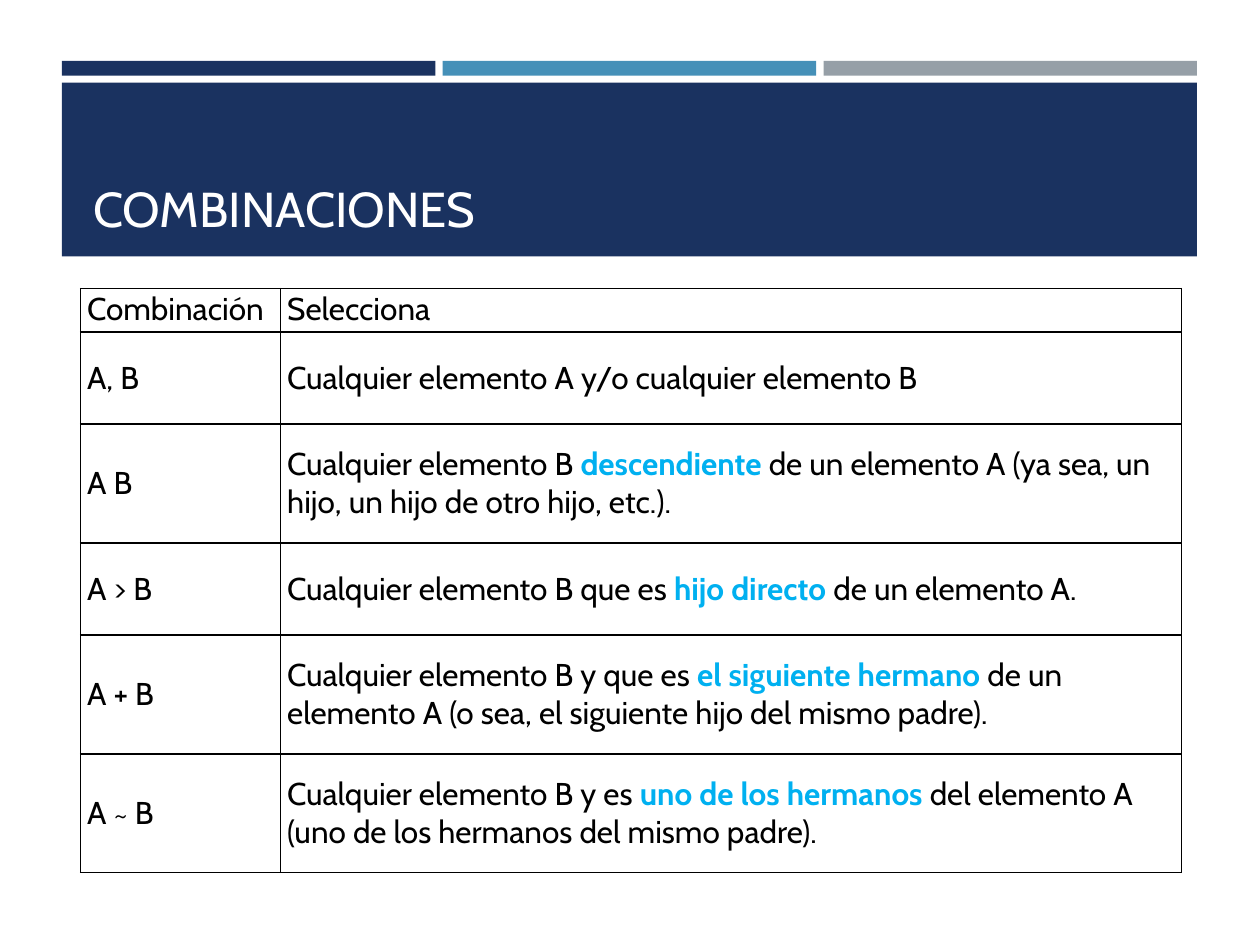
"""Build a slide with a table of CSS selector combinations."""
import lxml.etree
import pptx
import pptx.dml.color
import pptx.enum.shapes
import pptx.enum.text
import pptx.oxml.ns
import pptx.util

Pt = pptx.util.Pt
HUES = {"navy": "1A3260", "blue": "4590B8", "grey": "969FA7",
        "cyan": "00B0F0", "black": "000000", "white": "FFFFFF"}
ROWS = [
    (24.5, "Combinación", ["Selecciona"]),
    (52.6, "A, B", ["Cualquier elemento A y/o cualquier elemento B"]),
    (68, "A B", ["Cualquier elemento B ", "descendiente",
                 " de un elemento A (ya sea, un hijo, un hijo de otro hijo, etc.)."]),
    (52.6, "A > B", ["Cualquier elemento B que es ", "hijo directo ",
                     "de un elemento A."]),
    (68, "A + B", ["Cualquier elemento B y que es ", "el siguiente hermano ",
                   "de un elemento A (o sea, el siguiente hijo del mismo padre)."]),
    (68, "A ~ B", ["Cualquier elemento B y es ", "uno de los hermanos ",
                   "del elemento A (uno de los hermanos del mismo padre)."]),
]


def paint(hue):
    return pptx.dml.color.RGBColor.from_string(HUES[hue])


def write(line, text, font="Cabin", size=18, hue="black", bold=False):
    run = line.add_run()
    run.text = text
    run.font.name = font
    run.font.size = Pt(size)
    run.font.bold = bold
    run.font.color.rgb = paint(hue)


class Deck:
    def __init__(self, show):
        self.slide = show.slides.add_slide(show.slide_layouts[5])
        self.shapes = self.slide.shapes

    def bar(self, left, top, width, height, hue):
        kind = pptx.enum.shapes.MSO_SHAPE.RECTANGLE
        bar = self.shapes.add_shape(kind, Pt(left), Pt(top), Pt(width), Pt(height))
        bar.shadow.inherit = False
        bar.fill.solid()
        bar.fill.fore_color.rgb = paint(hue)
        bar.line.fill.background()

    def title(self, text, left, top, width, height):
        title = self.shapes.title
        title.left, title.top = Pt(left), Pt(top)
        title.width, title.height = Pt(width), Pt(height)
        frame = title.text_frame
        frame.vertical_anchor = pptx.enum.text.MSO_ANCHOR.BOTTOM
        line = frame.paragraphs[0]
        line.alignment = pptx.enum.text.PP_ALIGN.LEFT
        write(line, text, size=28, hue="white")
        self.shapes._spTree.append(title._element)

    def border(self, cell, width=1):
        props = cell._tc.get_or_add_tcPr()
        name = pptx.oxml.ns.qn
        for side in ("a:lnL", "a:lnR", "a:lnT", "a:lnB"):
            edge = lxml.etree.SubElement(props, name(side), w=str(Pt(width)))
            fill = lxml.etree.SubElement(edge, name("a:solidFill"))
            lxml.etree.SubElement(fill, name("a:srgbClr"), val=HUES["black"])

    def cell(self, cell, parts, top, base):
        self.border(cell)
        cell.fill.background()
        cell.vertical_anchor = pptx.enum.text.MSO_ANCHOR.MIDDLE
        cell.margin_left = cell.margin_right = Pt(3.75)
        cell.margin_top, cell.margin_bottom = Pt(top), Pt(base)
        for place, part in enumerate(parts):
            key = place == 1
            write(cell.text_frame.paragraphs[0], part,
                  hue="cyan" if key else "black", bold=key)

    def table(self, rows, left, top, widths):
        height = sum(row[0] for row in rows)
        grid = self.shapes.add_table(len(rows), len(widths), Pt(left), Pt(top),
                                     Pt(sum(widths)), Pt(height)).table
        grid.first_row = grid.horz_banding = False
        for col, width in zip(grid.columns, widths):
            col.width = Pt(width)
        for place, (height, term, parts) in enumerate(rows):
            grid.rows[place].height = Pt(height)
            top, base = (3, 3) if place else (0.75, 2)
            self.cell(grid.cell(place, 0), [term], top, base)
            self.cell(grid.cell(place, 1), parts, top, base)


def main():
    show = pptx.Presentation()
    show.slide_width, show.slide_height = Pt(720), Pt(540)
    deck = Deck(show)
    left, width, gap = 35.4, 648.6, 4.2
    third = (width - 2 * gap) / 3
    for place, hue in enumerate(("navy", "blue", "grey")):
        deck.bar(left + place * (third + gap), 34.8, third, 8.4, hue)
    deck.bar(left, 47.3, width, 99.2, "navy")
    deck.title("COMBINACIONES", 46, 54, 629, 85)
    deck.table(ROWS, 46, 164.9, (114.4, 514.8))
    show.save("out.pptx")


if __name__ == "__main__":
    main()
